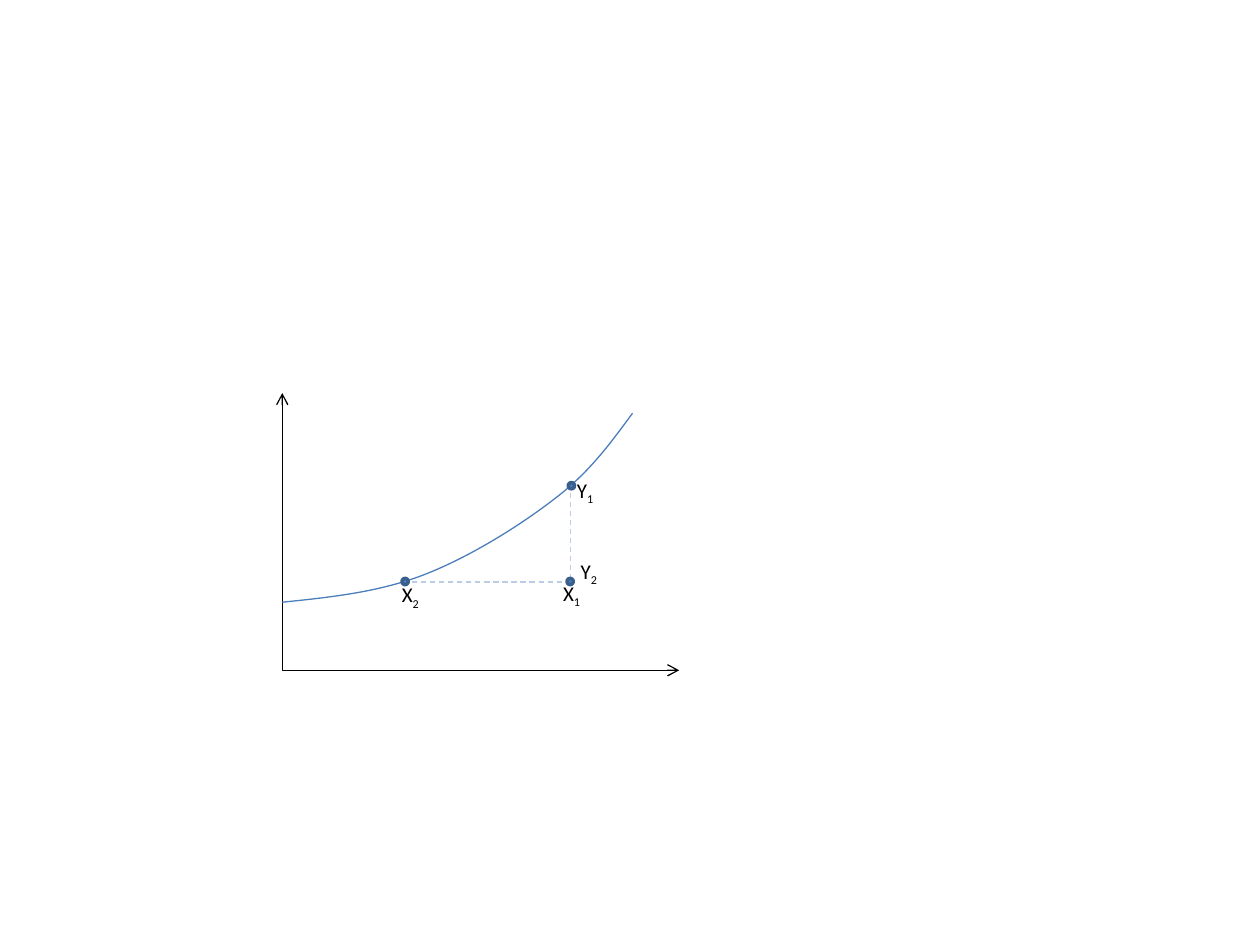
"""Build a slide with a rising curve, its marked points and their labels."""
import pptx
import pptx.dml.color
import pptx.enum.dml
import pptx.enum.shapes
import pptx.enum.text
import pptx.oxml
import pptx.oxml.ns
import pptx.util
from lxml import etree

Inches = pptx.util.Inches
Pt = pptx.util.Pt
RGBColor = pptx.dml.color.RGBColor
Connector = pptx.enum.shapes.MSO_CONNECTOR
qn = pptx.oxml.ns.qn

BLACK = RGBColor(0x00, 0x00, 0x00)
CURVE_BLUE = RGBColor(0x4B, 0x7E, 0xBC)
GUIDE_BLUE = RGBColor(0xB9, 0xCD, 0xE5)
DOT_FILL = RGBColor(0x4F, 0x81, 0xBD)
DOT_LINE = RGBColor(0x3A, 0x5F, 0x8C)

AXES = ((2.24, 3.12), (5.39, 5.32))
CURVE_START = (2.24, 4.78)
CURVE_SEGMENTS = [
    ((2.63, 4.74), (3.01, 4.70), (3.37, 4.56)),
    ((3.73, 4.42), (4.13, 4.17), (4.40, 3.96)),
    ((4.68, 3.75), (4.85, 3.51), (5.02, 3.28)),
]
CORNER = (4.53, 4.62)
GUIDES = [((4.53, 3.91), CORNER), (CORNER, (3.27, 4.62))]
LABELS = [
    ("Y", "1", 4.48, 3.74, 0.34),
    ("Y", "2", 4.51, 4.38, 0.34),
    ("X", "1", 4.37, 4.56, 0.35),
    ("X", "2", 3.09, 4.57, 0.35),
]
LABEL_HEIGHT = 0.3
DOTS = [(4.51, 3.83), (4.5, 4.59), (3.19, 4.59)]
DOT_SIZE = 0.05


def add_line(slide, kind, start, end, color):
    connector = slide.shapes.add_connector(
        kind, *(Inches(value) for value in start + end))
    connector.line.color.rgb = color
    connector.line.width = Pt(0.75)
    etree.SubElement(connector._element.spPr, qn("a:effectLst"))
    return connector


def add_axes(slide):
    axes = add_line(slide, Connector.ELBOW, *AXES, BLACK)
    properties = axes._element.spPr
    adjustments = properties.find(qn("a:prstGeom")).get_or_add_avLst()
    etree.SubElement(adjustments, qn("a:gd"), name="adj1", fmla="val 0")
    outline = properties.find(qn("a:ln"))
    for tag in ("a:headEnd", "a:tailEnd"):
        etree.SubElement(outline, qn(tag), type="arrow")


def add_curve(slide):
    builder = slide.shapes.build_freeform(
        *(Inches(value) for value in CURVE_START))
    builder.add_line_segments(
        [tuple(Inches(value) for value in segment[-1])
         for segment in CURVE_SEGMENTS], close=False)
    curve = builder.convert_to_shape()
    curve.shadow.inherit = False
    curve.fill.background()
    curve.line.color.rgb = CURVE_BLUE
    curve.line.width = Pt(0.75)
    straight_parts = list(curve._element.iter(qn("a:lnTo")))
    for straight, segment in zip(straight_parts, CURVE_SEGMENTS):
        bezier = etree.Element(qn("a:cubicBezTo"))
        for x, y in segment:
            etree.SubElement(bezier, qn("a:pt"), x=str(Inches(x) - curve.left),
                             y=str(Inches(y) - curve.top))
        straight.getparent().replace(straight, bezier)


def add_label(slide, letter, index, left, top, width):
    label = slide.shapes.add_textbox(
        Inches(left), Inches(top), Inches(width), Inches(LABEL_HEIGHT))
    label.text_frame.word_wrap = False
    label.text_frame.auto_size = pptx.enum.text.MSO_AUTO_SIZE.SHAPE_TO_FIT_TEXT
    paragraph = label.text_frame.paragraphs[0]
    for text in (letter, index):
        run = paragraph.add_run()
        run.text = text
        run.font.size = Pt(12)
        run.font.name = "Calibri"
        run.font.color.rgb = BLACK
    run.font._element.set("baseline", "-25000")


def add_dot(slide, left, top):
    dot = slide.shapes.add_shape(
        pptx.enum.shapes.MSO_SHAPE.OVAL, Inches(left), Inches(top),
        Inches(DOT_SIZE), Inches(DOT_SIZE))
    dot.shadow.inherit = False
    dot.fill.solid()
    dot.fill.fore_color.rgb = DOT_FILL
    dot.line.color.rgb = DOT_LINE
    dot.line.width = Pt(2)


presentation = pptx.Presentation()
presentation.slide_width = Inches(10)
presentation.slide_height = Inches(7.5)
slide = presentation.slides.add_slide(presentation.slide_layouts[6])

add_axes(slide)
add_curve(slide)
for start, end in GUIDES:
    guide = add_line(slide, Connector.STRAIGHT, start, end, GUIDE_BLUE)
    guide.line.dash_style = pptx.enum.dml.MSO_LINE.DASH
for label in LABELS:
    add_label(slide, *label)
for position in DOTS:
    add_dot(slide, *position)

presentation.save("out.pptx")
